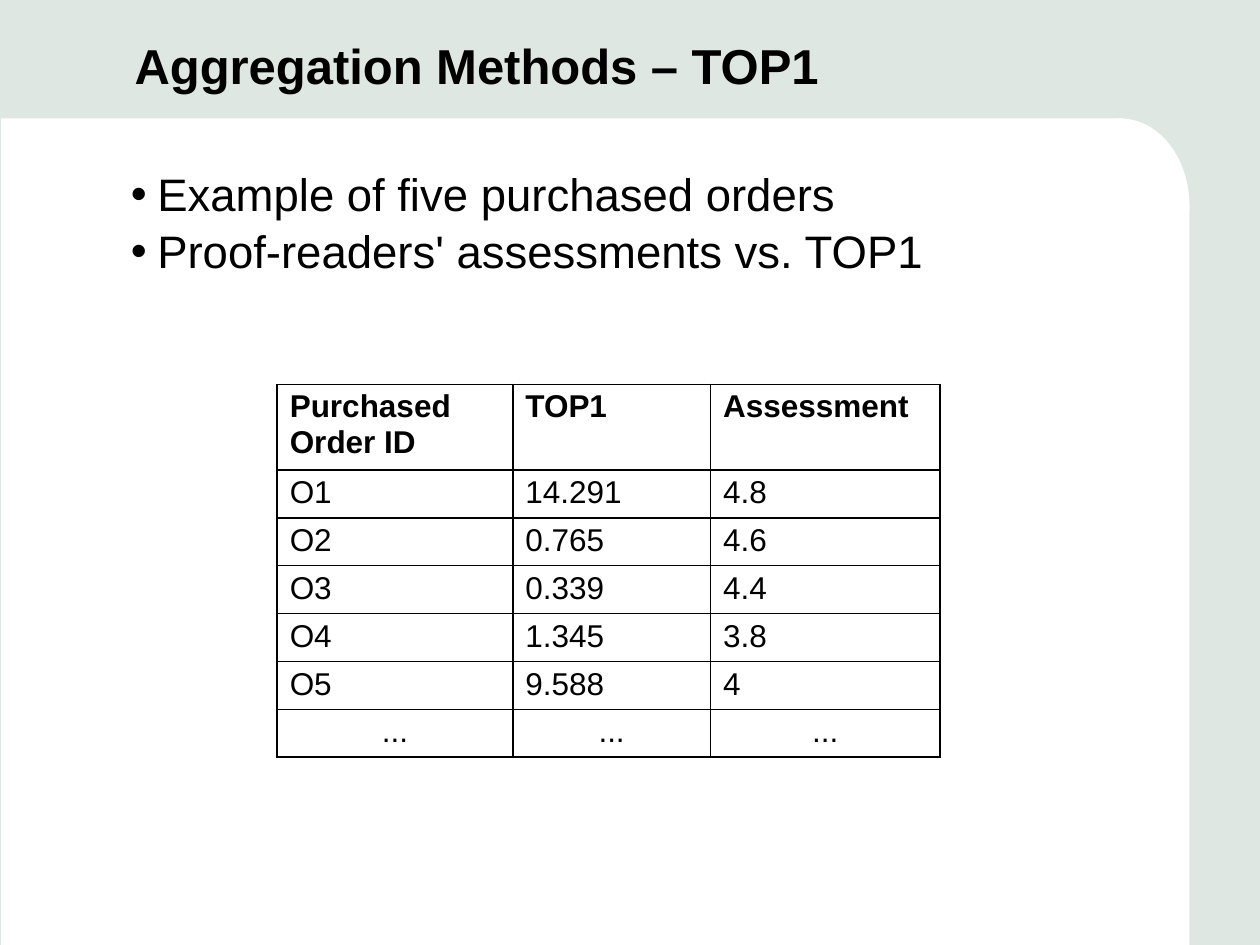
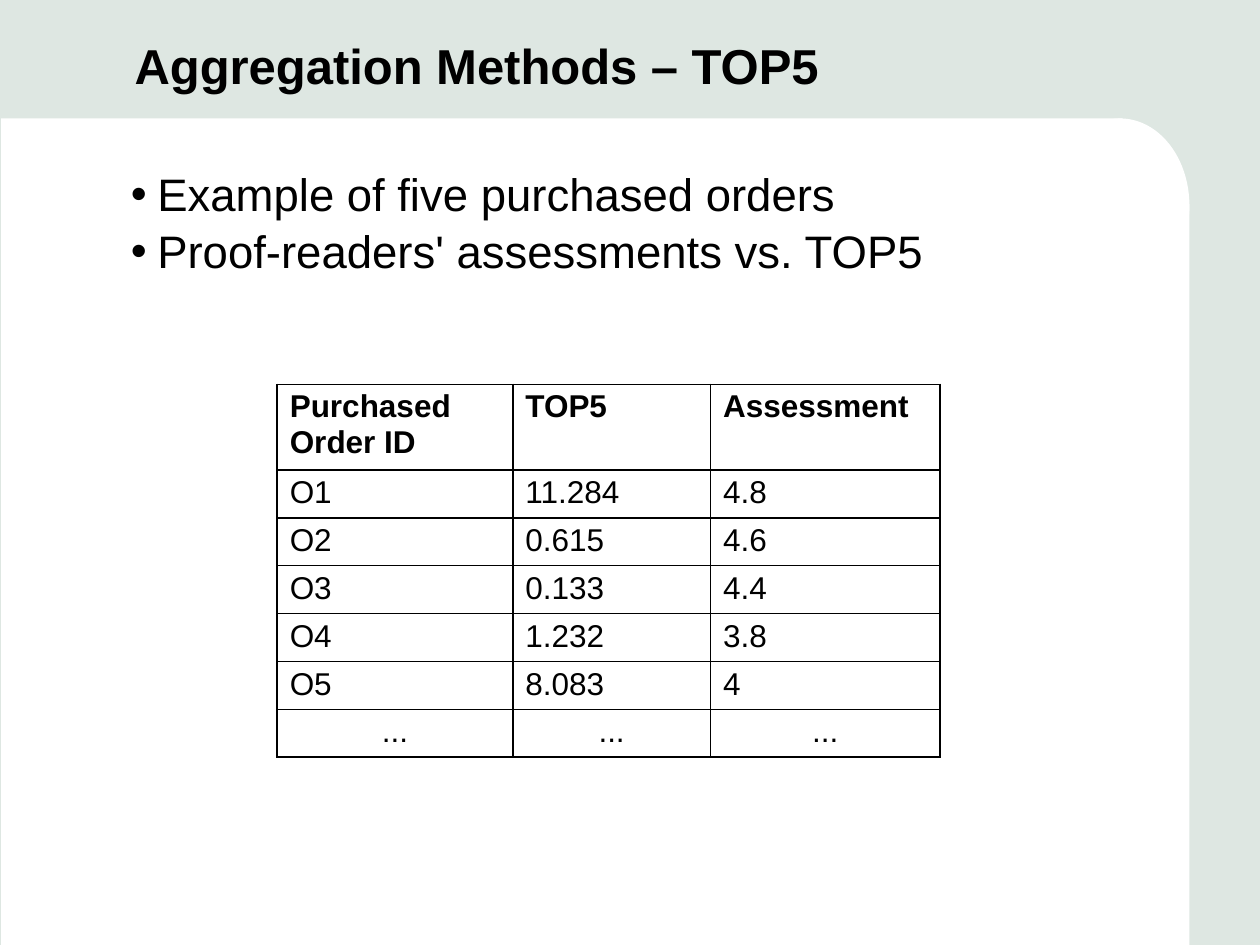
from lxml import etree
from pptx import Presentation
from pptx.dml.color import RGBColor
from pptx.enum.shapes import MSO_SHAPE
from pptx.enum.text import MSO_ANCHOR, PP_ALIGN
from pptx.oxml import parse_xml
from pptx.oxml.ns import nsdecls, qn
from pptx.util import Inches, Pt

RECTANGLE = MSO_SHAPE.RECTANGLE
OVAL = MSO_SHAPE.OVAL
MIDDLE = MSO_ANCHOR.MIDDLE
CENTER = PP_ALIGN.CENTER

MINT = RGBColor(0xDE, 0xE7, 0xE2)
WHITE = RGBColor(0xFF, 0xFF, 0xFF)
BLACK = RGBColor(0x00, 0x00, 0x00)
FONT = "Arial"

PANEL_PARTS = [
    (RECTANGLE, 0.01, 0.94, 8.9, 6.56),
    (OVAL, 8.34, 0.94, 1.1, 1.38),
    (RECTANGLE, 5.35, 1.62, 4.09, 5.88),
]
COLUMN_WIDTHS = [1.87, 1.57, 1.82]
HEADER_HEIGHT = 0.66
ROW_HEIGHT = 0.38
ORDERS = ["O1", "O2", "O3", "O4", "O5"]
ASSESSMENTS = ["4.8", "4.6", "4.4", "3.8", "4"]
SCORES = {
    "TOP1": ["14.291", "0.765", "0.339", "1.345", "9.588"],
    "TOP5": ["11.284", "0.615", "0.133", "1.232", "8.083"],
}


def style_text(paragraph, size, bold=False):
    for span in paragraph.runs:
        span.font.name = FONT
        span.font.size = Pt(size)
        span.font.bold = bold
        span.font.color.rgb = BLACK


def add_borders(cell):
    properties = cell._tc.get_or_add_tcPr()
    for position, side in enumerate(("lnL", "lnR", "lnT", "lnB")):
        border = parse_xml(
            f'<a:{side} {nsdecls("a")} w="12700"><a:solidFill>'
            f'<a:srgbClr val="{BLACK}"/></a:solidFill></a:{side}>'
        )
        properties.insert(position, border)


deck = Presentation()
deck.slide_width = Inches(10)
deck.slide_height = Inches(7.5)
blank_layout = deck.slide_layouts[6]

for method, scores in SCORES.items():
    page = deck.slides.add_slide(blank_layout)
    page.background.fill.solid()
    page.background.fill.fore_color.rgb = MINT

    title_box = page.shapes.add_textbox(
        Inches(0.97), Inches(0.13), Inches(6.8), Inches(0.77)
    )
    title_frame = title_box.text_frame
    title_frame.word_wrap = True
    title_frame.vertical_anchor = MIDDLE
    title_frame.text = f"Aggregation Methods – {method}"
    style_text(title_frame.paragraphs[0], 28, bold=True)

    for kind, left, top, width, height in PANEL_PARTS:
        panel = page.shapes.add_shape(
            kind, Inches(left), Inches(top), Inches(width), Inches(height)
        )
        panel.shadow.inherit = False
        panel.fill.solid()
        panel.fill.fore_color.rgb = WHITE
        panel.line.fill.background()

    body_box = page.shapes.add_textbox(
        Inches(0.94), Inches(1.27), Inches(8.12), Inches(5.74)
    )
    body_frame = body_box.text_frame
    body_frame.word_wrap = True
    body_frame.text = (
        f"Example of five purchased orders\nProof-readers' assessments vs. {method}"
    )
    for paragraph in body_frame.paragraphs:
        paragraph.space_before = Pt(1.5)
        style_text(paragraph, 26)
        properties = paragraph._p.get_or_add_pPr()
        properties.set("marL", str(Inches(0.21)))
        properties.set("indent", str(Inches(-0.21)))
        etree.SubElement(properties, qn("a:buFont")).set("typeface", FONT)
        etree.SubElement(properties, qn("a:buChar")).set("char", "•")

    rows = [
        ("Purchased Order ID", method, "Assessment"),
        *zip(ORDERS, scores, ASSESSMENTS),
        ("...",) * 3,
    ]
    table = page.shapes.add_table(
        len(rows),
        len(COLUMN_WIDTHS),
        Inches(2.2),
        Inches(3.05),
        Inches(sum(COLUMN_WIDTHS)),
        Inches(HEADER_HEIGHT + ROW_HEIGHT * (len(rows) - 1)),
    ).table
    table.first_row = False
    table.horz_banding = False
    for column, width in zip(table.columns, COLUMN_WIDTHS):
        column.width = Inches(width)
    for row_index, values in enumerate(rows):
        is_header = row_index == 0
        table.rows[row_index].height = Inches(HEADER_HEIGHT if is_header else ROW_HEIGHT)
        for column_index, value in enumerate(values):
            cell = table.cell(row_index, column_index)
            cell.margin_top = cell.margin_bottom = Inches(0.04)
            cell.fill.solid()
            cell.fill.fore_color.rgb = WHITE
            add_borders(cell)
            cell.text_frame.text = value
            paragraph = cell.text_frame.paragraphs[0]
            style_text(paragraph, 18, bold=is_header)
            if value == "...":
                paragraph.alignment = CENTER

deck.save("out.pptx")
